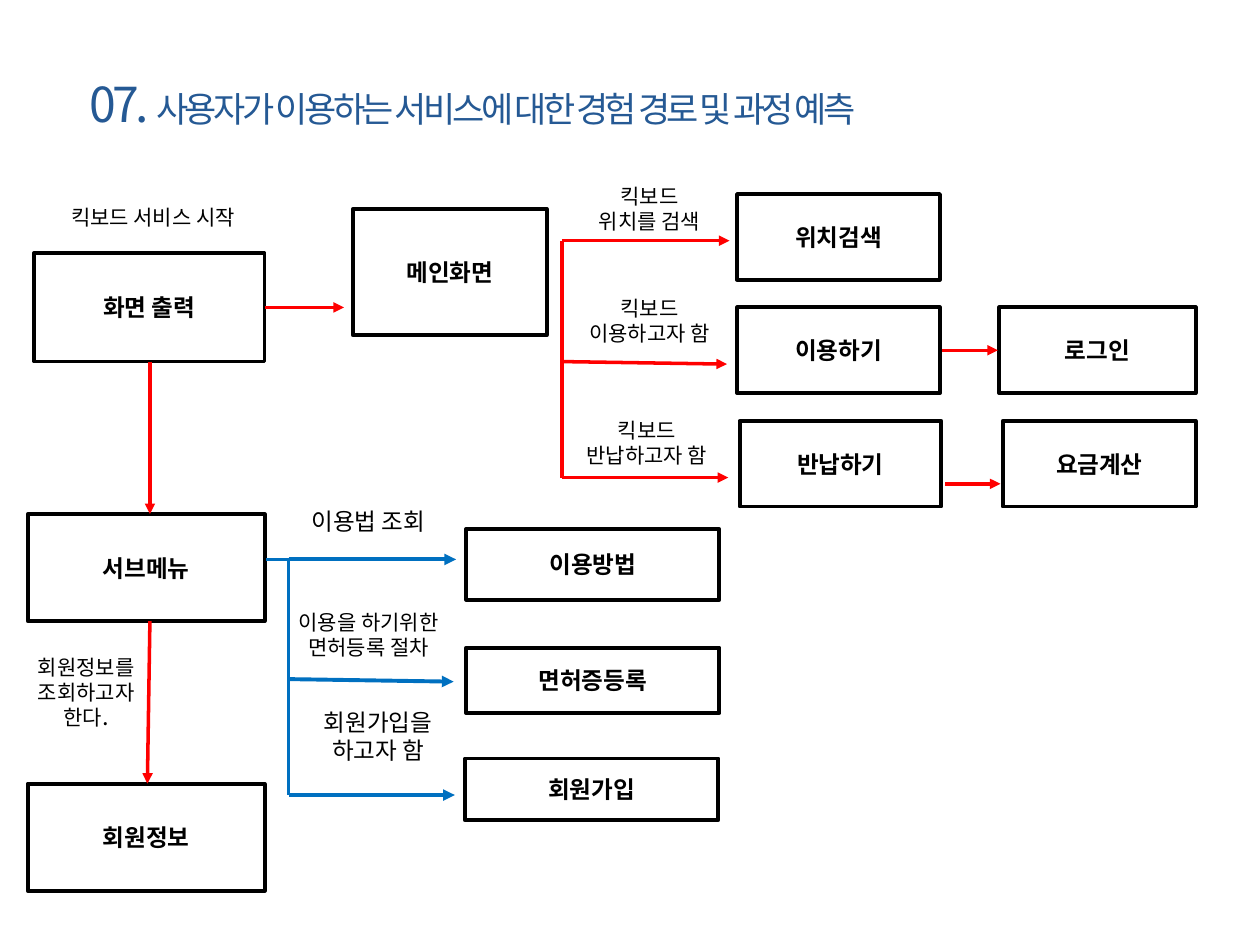
"""Build the service journey flow slide for the kickboard app."""
from dataclasses import dataclass
from typing import NamedTuple

from lxml import etree
from pptx import Presentation
from pptx.dml.color import RGBColor
from pptx.enum.shapes import MSO_CONNECTOR, MSO_SHAPE
from pptx.enum.text import MSO_ANCHOR, MSO_AUTO_SIZE, PP_ALIGN
from pptx.oxml.ns import qn
from pptx.util import Emu, Pt

RECTANGLE, ELLIPSE = MSO_SHAPE.RECTANGLE, MSO_SHAPE.OVAL
STRAIGHT = MSO_CONNECTOR.STRAIGHT
MIDDLE = MSO_ANCHOR.MIDDLE
LEFT, CENTER = PP_ALIGN.LEFT, PP_ALIGN.CENTER
GROW = MSO_AUTO_SIZE.SHAPE_TO_FIT_TEXT
EMU_PER_PX = 9144


@dataclass(frozen=True)
class Theme:
    font: str = "Noto Sans CJK KR"
    ink: str = "000000"
    paper: str = "FFFFFF"
    title: str = "255994"
    red: str = "FF0000"
    blue: str = "0070C0"
    number_size: float = 27.5
    title_size: float = 20
    large: float = 13.5
    small: float = 12
    leading: float = 1.19
    title_tracking: int = -200
    outline: float = 2.25
    thin: float = 2


THEME = Theme()


class Area(NamedTuple):
    left: int
    top: int
    width: int
    height: int


class Span(NamedTuple):
    text: str
    size: float
    color: str = THEME.ink
    bold: bool = False
    tracking: int = 0


class Step(NamedTuple):
    text: str
    area: Area


class Label(NamedTuple):
    lines: tuple[str, ...]
    area: Area
    size: float = THEME.small
    ending: str = ""


class Link(NamedTuple):
    start: tuple[int, int]
    end: tuple[int, int]
    color: str = THEME.red
    width: float = THEME.thin
    arrow: bool = True


STEPS = (
    Step("화면 출력", Area(27, 201, 183, 86)),
    Step("메인화면", Area(280, 166, 154, 100)),
    Step("위치검색", Area(585, 154, 161, 68)),
    Step("이용하기", Area(585, 244, 161, 68)),
    Step("반납하기", Area(587, 334, 160, 68)),
    Step("로그인", Area(793, 244, 156, 68)),
    Step("요금계산", Area(796, 334, 153, 68)),
    Step("서브메뉴", Area(22, 408, 188, 85)),
    Step("회원정보", Area(22, 622, 188, 85)),
    Step("이용방법", Area(370, 420, 201, 56)),
    Step("면허증등록", Area(370, 514, 201, 52)),
    Step("회원가입", Area(369, 602, 201, 49)),
)
LABELS = (
    Label(("킥보드 서비스 시작",), Area(-19, 136, 281, 73)),
    Label(("킥보드", "위치를 검색"), Area(402, 129, 227, 73)),
    Label(("킥보드", "이용하고자 함"), Area(402, 218, 227, 73)),
    Label(("킥보드", "반납하고자 함"), Area(400, 315, 227, 73)),
    Label(("이용법 조회",), Area(189, 377, 207, 73), THEME.large),
    Label(("이용을 하기위한 면허등록 절차",), Area(185, 470, 215, 67)),
    Label(("회원가입을", "하고자 함"), Area(191, 550, 218, 69), THEME.large),
    Label(("회원정보를", "조회하고자", "한다"), Area(-45, 513, 227, 73), ending="."),
)
RED_LINKS = (
    Link((210, 244), (273, 244)),
    Link((119, 287), (119, 408)),
    Link((119, 493), (117, 622)),
    Link((748, 278), (792, 278)),
    Link((750, 384), (794, 384)),
    Link((446, 191), (579, 191)),
    Link((446, 191), (446, 379), arrow=False),
    Link((446, 379), (578, 379)),
    Link((446, 287), (577, 289)),
)
BLUE_BRANCH = (
    Link((229, 444), (362, 444), THEME.blue, THEME.outline),
    Link((229, 444), (229, 631), THEME.blue, THEME.outline, arrow=False),
    Link((229, 631), (361, 631), THEME.blue, THEME.outline),
    Link((229, 539), (360, 541), THEME.blue, THEME.outline),
)
BLUE_STUB = Link((233, 444), (211, 444), THEME.blue, arrow=False)
TITLE_AREA = Area(61, 54, 803, 56)
TITLE = (
    Span("07. ", THEME.number_size, THEME.title, tracking=THEME.title_tracking),
    Span("사용자가 이용하는 서비스에 대한 경험 경로 및 과정 예측",
         THEME.title_size, THEME.title, tracking=THEME.title_tracking),
)


def px(*lengths: int) -> list[Emu]:
    """Turn pixel lengths into EMU."""
    return [Emu(length * EMU_PER_PX) for length in lengths]


def write_spans(para, spans: tuple[Span, ...], alignment=CENTER) -> None:
    """Fill one paragraph with formatted spans."""
    para.alignment = alignment
    for span in spans:
        run = para.add_run()
        run.text = span.text
        formats = {"name": THEME.font, "size": Pt(span.size), "bold": span.bold}
        for name, value in formats.items():
            setattr(run.font, name, value)
        run.font.color.rgb = RGBColor.from_string(span.color)
        properties = run._r.get_or_add_rPr()
        etree.SubElement(properties, qn("a:ea"), typeface=THEME.font)
        if span.tracking:
            properties.set("spc", str(span.tracking))


def set_frame(frame, **extra) -> None:
    """Wrap the text and centre it vertically."""
    formats = {"word_wrap": True, "vertical_anchor": MIDDLE, **extra}
    for name, value in formats.items():
        setattr(frame, name, value)


def draw_step(page, step: Step) -> None:
    """Draw an outlined box with a bold caption."""
    box = page.shapes.add_shape(RECTANGLE, *px(*step.area))
    box.shadow.inherit = False
    box.fill.solid()
    box.fill.fore_color.rgb = RGBColor.from_string(THEME.paper)
    box.line.color.rgb = RGBColor.from_string(THEME.ink)
    box.line.width = Pt(THEME.outline)
    set_frame(box.text_frame)
    write_spans(box.text_frame.paragraphs[0], (Span(step.text, THEME.large, bold=True),))


def draw_label(page, label: Label) -> None:
    """Draw a caption in an unfilled ellipse."""
    box = page.shapes.add_shape(ELLIPSE, *px(*label.area))
    box.shadow.inherit = False
    box.fill.background()
    box.line.fill.background()
    frame = box.text_frame
    set_frame(frame)
    for index, line in enumerate(label.lines):
        para = frame.add_paragraph() if index else frame.paragraphs[0]
        para.line_spacing = Pt(round(label.size * THEME.leading, 1))
        write_spans(para, (Span(line, label.size),))
    if label.ending:
        write_spans(frame.paragraphs[-1], (Span(label.ending, THEME.large),))


def draw_link(shapes, link: Link) -> None:
    """Draw a straight line, with an arrowhead where wanted."""
    connector = shapes.add_connector(STRAIGHT, *px(*link.start, *link.end))
    connector.line.color.rgb = RGBColor.from_string(link.color)
    connector.line.width = Pt(link.width)
    properties = connector._element.spPr
    if link.arrow:
        etree.SubElement(properties.find(qn("a:ln")), qn("a:tailEnd"), type="triangle")
    etree.SubElement(properties, qn("a:effectLst"))


def main() -> None:
    """Assemble and save the slide."""
    deck = Presentation()
    deck.slide_width, deck.slide_height = px(1000, 750)
    page = deck.slides.add_slide(deck.slide_layouts[6])
    for step in STEPS:
        draw_step(page, step)
    for label in LABELS:
        draw_label(page, label)
    for link in (*RED_LINKS, BLUE_STUB):
        draw_link(page.shapes, link)
    branch = page.shapes.add_group_shape()
    for link in BLUE_BRANCH:
        draw_link(branch.shapes, link)
    title = page.shapes.add_textbox(*px(*TITLE_AREA)).text_frame
    set_frame(title, auto_size=GROW)
    write_spans(title.paragraphs[0], TITLE, LEFT)
    deck.save("out.pptx")


if __name__ == "__main__":
    main()
